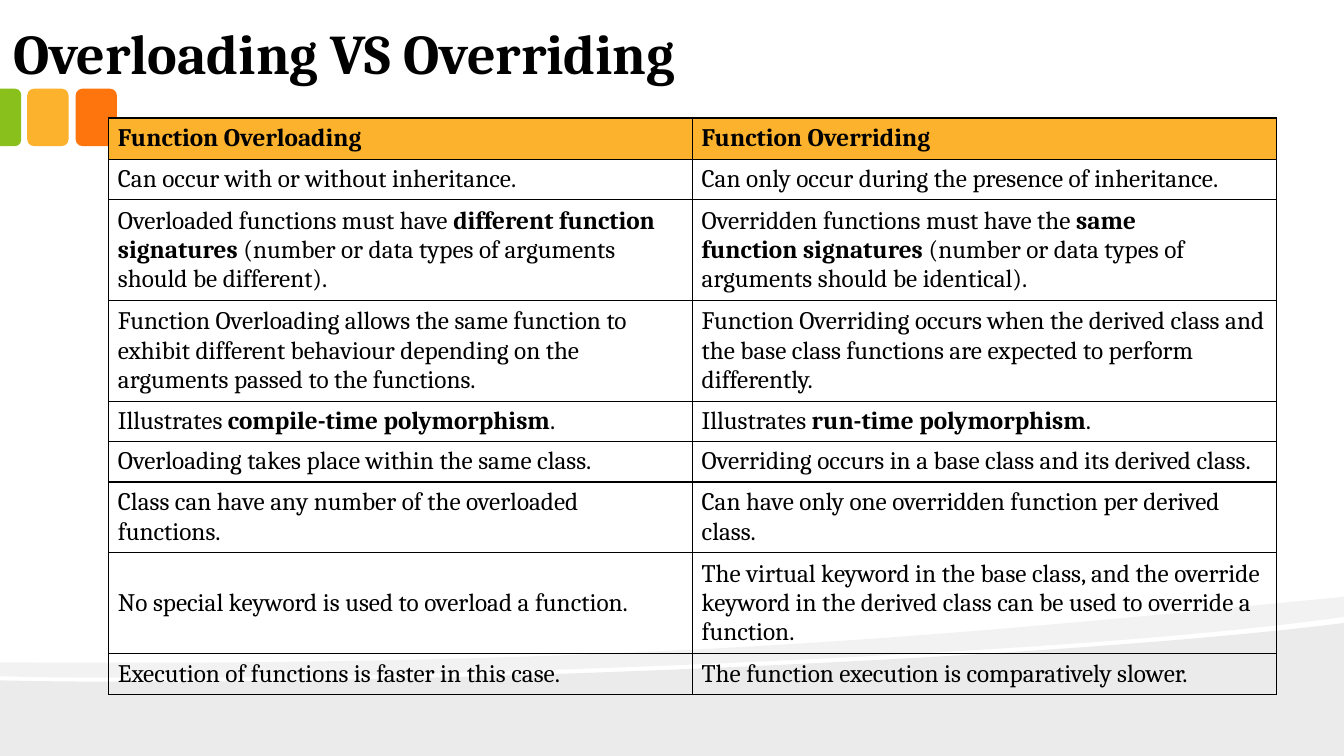
import pptx
import pptx.dml.color
import pptx.enum.shapes
import pptx.enum.text
import pptx.oxml
import pptx.oxml.ns
import pptx.util

Inches = pptx.util.Inches
Pt = pptx.util.Pt
Shapes = pptx.enum.shapes.MSO_SHAPE
Anchor = pptx.enum.text.MSO_ANCHOR

WIDTH, HEIGHT = 13.33, 7.5
FONT = "Cambria"
BLACK, GREEN, AMBER, ORANGE = "000000", "89C01C", "FCB22C", "FE750E"
HARD_SPACE = chr(160)
ROW_HEIGHTS = [0.41, 0.4, 0.98, 0.98, 0.4, 0.4, 0.69, 0.98, 0.41]
COMPARISON = [
    ("**Function Overloading**", "**Function Overriding**"),
    ("Can occur with or without~inheritance.",
     "Can only occur during the presence of inheritance."),
    ("Overloaded functions must have~**different function signatures**"
     "~(number or data types of arguments should be different).",
     "Overridden functions must have the~**same function~signatures~**"
     "(number or data types of arguments should be identical)."),
    ("Function Overloading allows the same function to exhibit different behaviour "
     "depending on the arguments passed to the functions.",
     "Function Overriding occurs when the derived class and the base class functions "
     "are expected to perform differently."),
    ("Illustrates~**compile-time polymorphism**.",
     "Illustrates~**run-time polymorphism**."),
    ("Overloading takes place within the same class.",
     "Overriding occurs in a base class and its derived class."),
    ("Class can have any number of the overloaded functions.",
     "Can have only one overridden function per derived class."),
    ("No special keyword is used to overload a function.",
     "The virtual keyword in the base class, and the override keyword in the derived "
     "class can be used to override a function."),
    ("Execution of functions is faster in this case.",
     "The function execution is comparatively slower."),
]


def color(value):
    """Turn a hex string into a colour."""
    return pptx.dml.color.RGBColor.from_string(value)


def paint(shape, value, alpha=100):
    """Give a shape a flat fill with an opacity in percent."""
    shape.shadow.inherit = False
    shape.line.fill.background()
    shape.fill.solid()
    shape.fill.fore_color.rgb = color(value)
    if alpha < 100:
        fill = shape._element.spPr.find(pptx.oxml.ns.qn("a:solidFill"))
        fill[0].append(pptx.oxml.parse_xml(
            f'<a:alpha {pptx.oxml.ns.nsdecls("a")} val="{alpha * 1000}"/>'))


def add_outline(slide, points, curve_starts, alpha):
    """Add a closed black outline; each curve takes three points from its start."""
    places = [(Inches(x), Inches(y)) for x, y in points]
    builder = slide.shapes.build_freeform(*places[0], scale=1.0)
    builder.add_line_segments(places[1:], close=True)
    shape = builder.convert_to_shape()
    outline = next(shape._element.iter(pptx.oxml.ns.qn("a:path")))
    segments = list(outline)
    for start in curve_starts:
        bend = pptx.oxml.parse_xml(f'<a:cubicBezTo {pptx.oxml.ns.nsdecls("a")}/>')
        segments[start].addprevious(bend)
        for segment in segments[start:start + 3]:
            bend.append(segment[0])
            outline.remove(segment)
    paint(shape, BLACK, alpha)


def add_waves(slide):
    """Place the grey wave and the pale band along the slide's foot."""
    add_outline(slide, [
        (WIDTH, 6.18), (WIDTH, HEIGHT), (0, HEIGHT), (0, 6.75),
        (3.52, 6.83), (10.42, 6.55), (WIDTH, 6.18)], [4], 8)
    add_outline(slide, [
        (WIDTH, 5.92), (WIDTH, 6.12),
        (12.55, 6.23), (11.49, 6.33), (10.29, 6.41),
        (6.98, 6.63), (2.58, 6.77), (0, 6.71), (0, 6.57),
        (6.52, 6.62), (9.71, 6.27), (WIDTH, 5.92)], [2, 5, 9], 5)


def add_tabs(slide, left, top, width, height):
    """Place the coloured tabs, the first one cut by the slide's edge."""
    pitch = 0.48
    for index, value in ((1, ORANGE), (0, AMBER)):
        tab = slide.shapes.add_shape(
            Shapes.ROUNDED_RECTANGLE, Inches(left + index * pitch), Inches(top),
            Inches(width), Inches(height))
        paint(tab, value)
    cut = left + width - pitch + 0.01
    edge_tab = slide.shapes.add_shape(
        Shapes.ROUND_2_SAME_RECTANGLE, Inches((cut - height) / 2),
        Inches(top + (height - cut) / 2), Inches(height), Inches(cut))
    edge_tab.rotation = 90
    edge_tab.adjustments[0] = 0.29
    edge_tab.adjustments[1] = 0
    paint(edge_tab, GREEN)


def add_runs(paragraph, text, size):
    """Add text run by run: bold between double asterisks, tildes as hard spaces."""
    for index, part in enumerate(text.replace("~", HARD_SPACE).split("**")):
        if part:
            run = paragraph.add_run()
            run.text = part
            run.font.name = FONT
            run.font.size = Pt(size)
            run.font.bold = index % 2 == 1
            run.font.color.rgb = color(BLACK)


def add_title(slide, left, top, width, height):
    """Place the slide's title."""
    frame = slide.shapes.add_textbox(
        Inches(left), Inches(top), Inches(width), Inches(height)).text_frame
    frame.word_wrap = True
    frame.vertical_anchor = Anchor.BOTTOM
    frame.margin_left = frame.margin_right = Inches(0.13)
    frame.margin_top = frame.margin_bottom = Inches(0.07)
    frame.paragraphs[0].alignment = pptx.enum.text.PP_ALIGN.JUSTIFY
    add_runs(frame.paragraphs[0], "**Overloading VS Overriding**", 40)


def add_borders(cell):
    """Draw a thin black line on each side of a cell."""
    properties = cell._tc.get_or_add_tcPr()
    for position, side in enumerate(("lnL", "lnR", "lnT", "lnB")):
        properties.insert(position, pptx.oxml.parse_xml(
            f'<a:{side} {pptx.oxml.ns.nsdecls("a")} w="{Pt(1)}"><a:solidFill>'
            f'<a:srgbClr val="{BLACK}"/></a:solidFill></a:{side}>'))


def add_comparison(slide, left, top, width):
    """Place the two-column comparison table."""
    table = slide.shapes.add_table(
        len(COMPARISON), 2, Inches(left), Inches(top), Inches(width),
        Inches(sum(ROW_HEIGHTS))).table
    table.first_row = table.horz_banding = False
    for column in table.columns:
        column.width = Inches(width / 2)
    for row, height, texts in zip(table.rows, ROW_HEIGHTS, COMPARISON):
        row.height = Inches(height)
        for cell, text in zip(row.cells, texts):
            cell.vertical_anchor = Anchor.MIDDLE
            cell.margin_left = cell.margin_right = Inches(0.09)
            cell.margin_top = cell.margin_bottom = Inches(0.05)
            if texts is COMPARISON[0]:
                cell.fill.solid()
                cell.fill.fore_color.rgb = color(AMBER)
            else:
                cell.fill.background()
            add_borders(cell)
            add_runs(cell.text_frame.paragraphs[0], text, 18)


def main():
    """Build and save the slide."""
    presentation = pptx.Presentation()
    presentation.slide_width = Inches(WIDTH)
    presentation.slide_height = Inches(HEIGHT)
    slide = presentation.slides.add_slide(presentation.slide_layouts[6])
    add_waves(slide)
    add_tabs(slide, 0.27, 0.88, 0.41, 0.57)
    add_title(slide, 0, 0.03, 12.91, 0.89)
    add_comparison(slide, 1.08, 1.17, 11.58)
    presentation.save("out.pptx")


if __name__ == "__main__":
    main()
